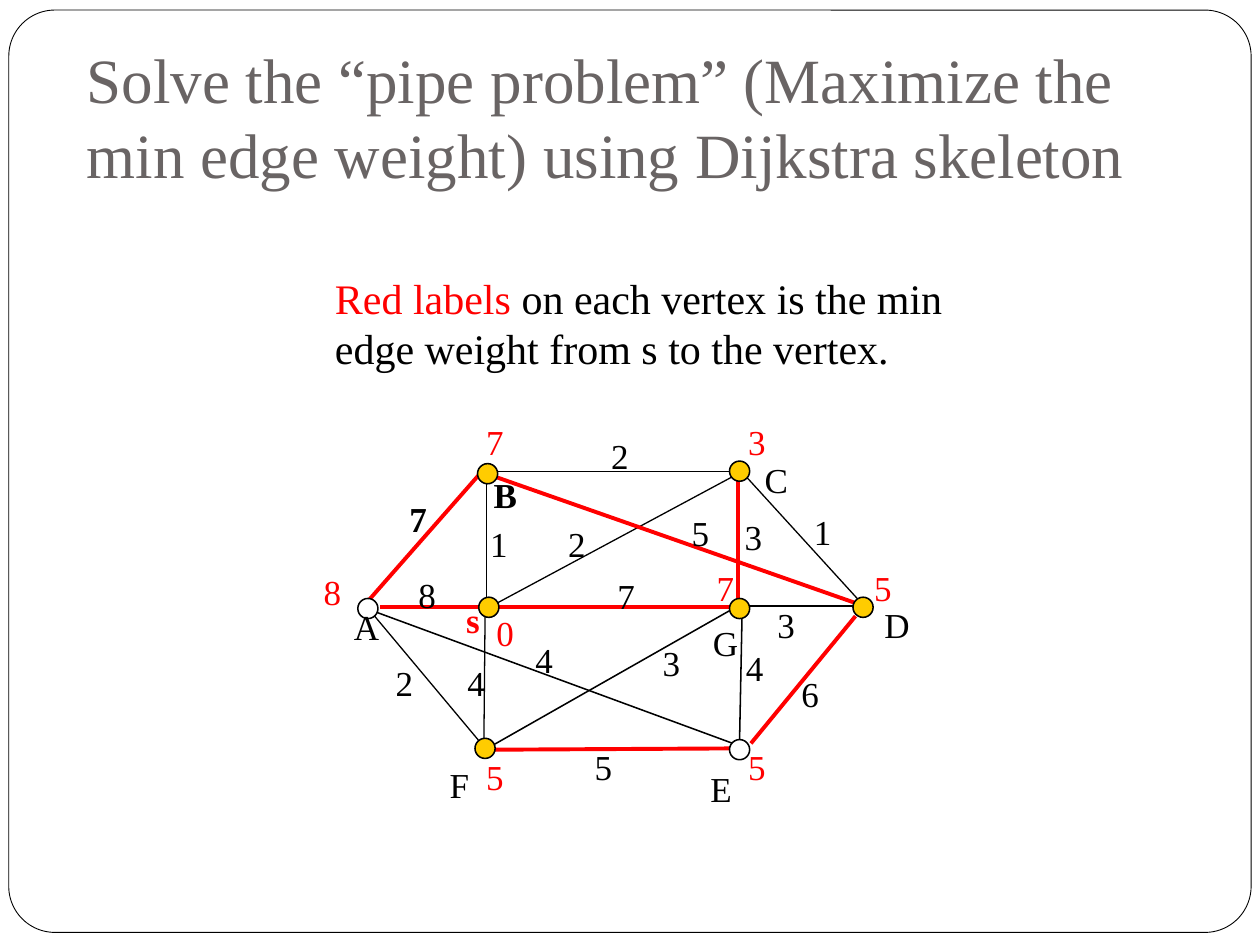
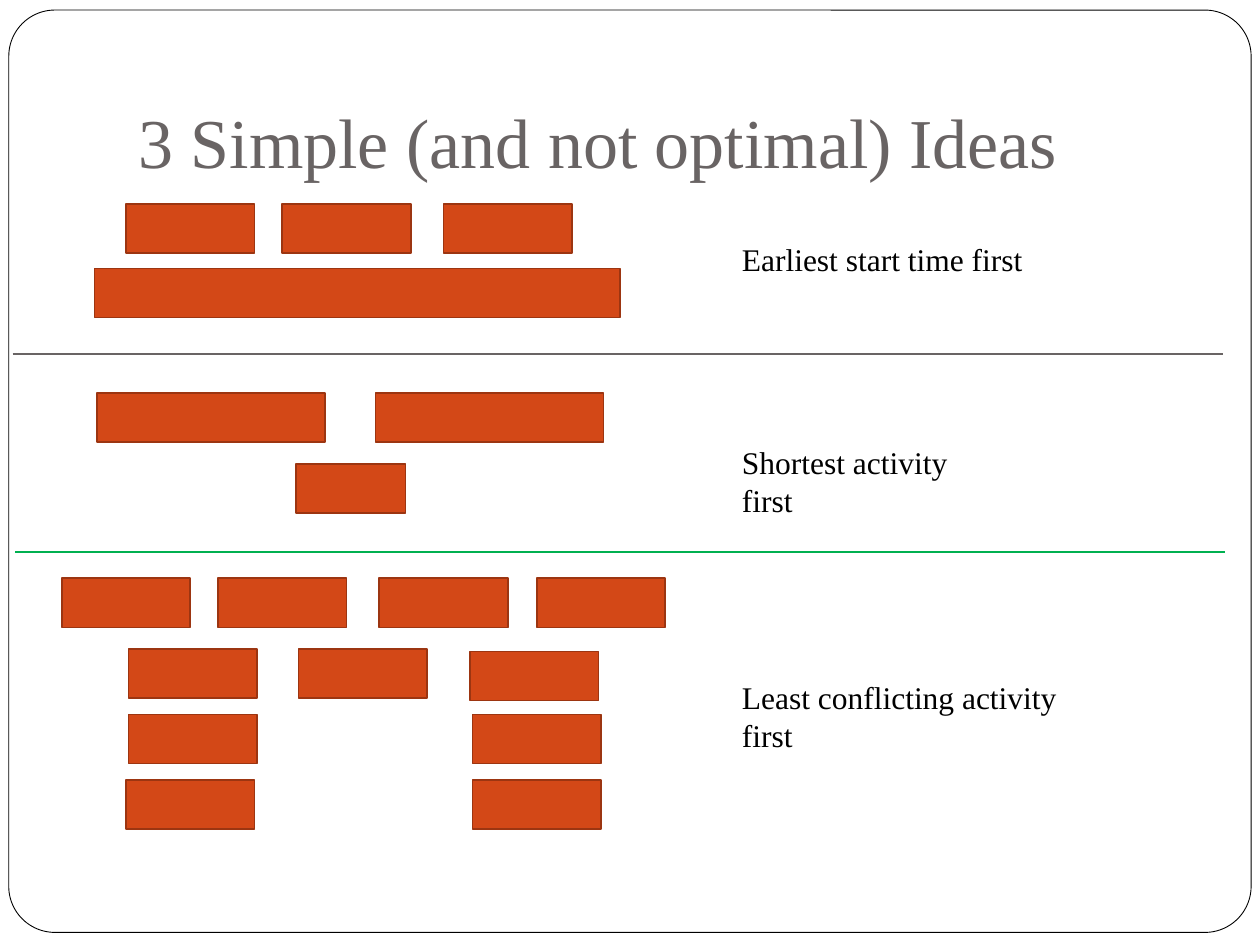
from lxml.etree import SubElement
from pptx import Presentation
from pptx.dml.color import RGBColor
from pptx.enum.shapes import MSO_CONNECTOR, MSO_SHAPE
from pptx.enum.text import MSO_ANCHOR, PP_ALIGN
from pptx.oxml.ns import qn
from pptx.util import Emu, Pt

SCALE = 9144  # EMU per px, 100 px to the inch
FONT = "Times New Roman"
HUE = {
    "paper": "FFFFFF",
    "ink": "000000",
    "title": "696464",
    "red": "FF0000",
    "gold": "FFCC00",
    "bar": "D34817",
    "edge": "9C3511",
    "green": "00B050",
}
DOT = 16   # vertex size
BAR = 39   # activity height
UNIT = 102  # usual activity width

# Graph: vertex -> left, top, fill
NODES = {
    "B": (379, 368, "gold"), "C": (579, 366, "gold"),
    "A": (284, 475, "paper"), "s": (380, 474, "gold"),
    "G": (579, 475, "gold"), "D": (677, 474, "gold"),
    "E": (579, 587, "paper"), "F": (377, 586, "gold"),
}
# Edges on the chosen paths, and the other edges with their line width
TREE = [
    (392, 595, 582, 594), (380, 377, 293, 476), (679, 489, 596, 590),
    (302, 482, 383, 482), (393, 482, 579, 482), (586, 382, 586, 475),
    (389, 377, 683, 480),
]
REST = [
    (392, 374, 581, 374, 0.75), (294, 485, 381, 589, 0.75),
    (593, 481, 677, 481, 0.75), (386, 379, 386, 477, 0.75),
    (385, 487, 384, 595, 0.75), (589, 486, 587, 587, 0.88),
    (582, 378, 392, 480, 0.75), (582, 483, 392, 591, 0.88),
    (591, 377, 684, 479, 0.75), (299, 486, 587, 592, 0.88),
]
# Edge weights: text, left, top
COSTS = [
    ("7", 490, 456), ("2", 485, 345), ("1", 389, 415), ("2", 451, 415),
    ("3", 591, 409), ("1", 646, 405), ("2", 314, 525), ("4", 425, 507),
    ("4", 371, 525), ("8", 332, 455), ("3", 526, 509), ("5", 472, 592),
    ("3", 617, 479), ("4", 592, 513), ("6", 636, 534), ("5", 549, 406),
]
# Best value of each vertex, then vertex names
BESTS = [
    ("7", 376, 329), ("3", 584, 329), ("8", 247, 448), ("7", 559, 445),
    ("5", 376, 595), ("5", 684, 445), ("5", 584, 587),
]
NAMES = [
    ("A", 271, 476), ("C", 597, 359), ("D", 692, 474),
    ("E", 554, 604), ("F", 347, 601), ("G", 556, 488),
]
# Activities: top, width, lefts
ROWS = [
    (162, UNIT, (100, 224, 352)),
    (213, 417, (75,)),
    (312, 181, (77, 298)),
    (368, 87, (235,)),
    (459, UNIT, (49, 173, 301, 426)),
    (515, UNIT, (102, 237)),
    (517, UNIT, (373,)),
    (567, UNIT, (102, 375)),
    (619, UNIT, (100, 375)),
]
IDEAS = [
    ("Earliest start time first", 186, 283),
    ("Shortest activity first", 347, 220),
    ("Least conflicting activity first", 533, 299),
]


def px(num):
    return Emu(num * SCALE)


def rgb(hue):
    return RGBColor.from_string(HUE[hue])


def form(slide, kind, x, y, w, h, fill, line, width):
    """Preset shape with a fill and an outline."""
    shape = slide.shapes.add_shape(kind, px(x), px(y), px(w), px(h))
    shape.shadow.inherit = False
    shape.fill.solid()
    shape.fill.fore_color.rgb = rgb(fill)
    shape.line.color.rgb = rgb(line)
    shape.line.width = Pt(width)
    return shape


def rule(slide, x1, y1, x2, y2, hue, width):
    """Straight line without a shadow."""
    line = slide.shapes.add_connector(
        MSO_CONNECTOR.STRAIGHT, px(x1), px(y1), px(x2), px(y2))
    line.line.color.rgb = rgb(hue)
    line.line.width = Pt(width)
    SubElement(line._element.spPr, qn("a:effectLst"))


def text(slide, x, y, w, h, runs, size, pads=(10, 5, 10, 5),
         anchor=MSO_ANCHOR.TOP, bold=False):
    """Text box; runs are pairs of words and hue."""
    frame = slide.shapes.add_textbox(px(x), px(y), px(w), px(h)).text_frame
    frame.word_wrap = True
    frame.vertical_anchor = anchor
    (frame.margin_left, frame.margin_top,
     frame.margin_right, frame.margin_bottom) = map(px, pads)
    para = frame.paragraphs[0]
    para.alignment = PP_ALIGN.LEFT
    for words, hue in runs:
        run = para.add_run()
        run.text = words
        run.font.name = FONT
        run.font.size = Pt(size)
        run.font.bold = bold
        run.font.color.rgb = rgb(hue)


def cost(slide, words, x, y, hue="ink", bold=False):
    """Edge weight: a tight label."""
    text(slide, x, y, 14, 33, [(words, hue)], 20, (0, 0, 0, 0), bold=bold)


def tag(slide, words, x, y, hue="ink", bold=False):
    """Vertex label with the usual margins."""
    text(slide, x, y, 44 if x < 250 else 36, 43, [(words, hue)], 20, bold=bold)


def page(deck, title, box, size):
    """Blank slide with the rounded frame and a title."""
    slide = deck.slides.add_slide(deck.slide_layouts[6])
    frame = form(slide, MSO_SHAPE.ROUNDED_RECTANGLE,
                 7, 8, 986, 732, "paper", "ink", 0.5)
    frame.adjustments[0] = 0.05
    text(slide, *box, [(title, "title")], size, (10, 5, 10, 10),
         MSO_ANCHOR.BOTTOM)
    return slide


def graph(deck):
    slide = page(deck, "Solve the “pipe problem” (Maximize the min edge "
                 "weight) using Dijkstra skeleton", (59, 79, 882, 83), 36)
    # Edges
    for *ends, width in REST:
        rule(slide, *ends, "ink", width)
    for ends in TREE:
        rule(slide, *ends, "red", 2.25)
    # Weights
    for item in COSTS:
        cost(slide, *item)
    cost(slide, "7", 325, 395, bold=True)
    cost(slide, "s", 370, 475, "red", True)
    cost(slide, "0", 394, 485, "red")
    # Vertices and their labels
    for x, y, fill in NODES.values():
        form(slide, MSO_SHAPE.OVAL, x, y, DOT, DOT, fill, "ink", 0.88)
    for item in BESTS:
        tag(slide, *item, "red")
    for item in NAMES:
        tag(slide, *item)
    tag(slide, "B", 382, 371, bold=True)
    # Key
    text(slide, 256, 211, 559, 91, [
        ("Red labels", "red"),
        (" on each vertex is the min edge weight from s to the vertex.",
         "ink")], 24)


def ideas(deck):
    slide = page(deck, "3 Simple (and not optimal) Ideas",
                 (100, 30, 850, 125), 40)
    # Activities
    for y, w, lefts in ROWS:
        for x in lefts:
            form(slide, MSO_SHAPE.RECTANGLE, x, y, w, BAR, "bar", "edge", 1)
    # Idea names
    for words, y, w in IDEAS:
        text(slide, 579, y, w, 40, [(words, "ink")], 18)
    # Dividers
    rule(slide, 12, 438, 972, 438, "green", 0.75)
    rule(slide, 10, 281, 971, 281, "title", 0.75)


def main():
    deck = Presentation()
    deck.slide_width, deck.slide_height = px(1000), px(750)
    graph(deck)
    ideas(deck)
    deck.save("out.pptx")


if __name__ == "__main__":
    main()
